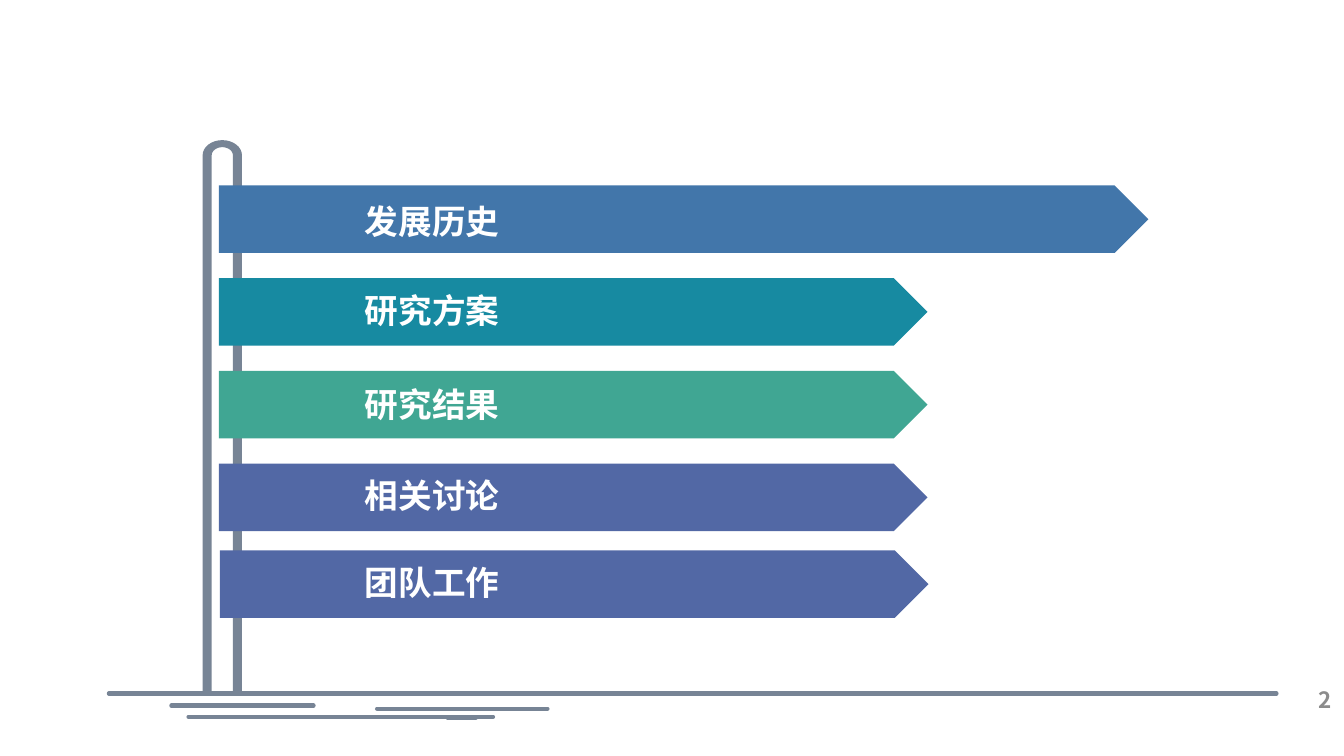
"""Build the signpost agenda slide."""
from math import cos, pi, sin

from lxml.etree import SubElement
from pptx import Presentation
from pptx.dml.color import RGBColor
from pptx.enum.shapes import MSO_CONNECTOR as Connector, MSO_SHAPE as Shape
from pptx.enum.text import MSO_ANCHOR as Anchor, PP_ALIGN as Align
from pptx.oxml.ns import qn
from pptx.util import Inches, Pt

FONT = "Noto Sans CJK SC"
SLATE = RGBColor(0x77, 0x84, 0x95)
BLUE = RGBColor(0x42, 0x76, 0xAA)
TEAL = RGBColor(0x17, 0x8A, 0xA1)
GREEN = RGBColor(0x40, 0xA6, 0x93)
INDIGO = RGBColor(0x52, 0x68, 0xA5)
WHITE = RGBColor(0xFF, 0xFF, 0xFF)
GREY = RGBColor(0x8C, 0x8C, 0x8C)


def add_label(page, text, left, top, width, height, size, color):
    box = page.shapes.add_textbox(Inches(left), Inches(top), Inches(width), Inches(height))
    box.text_frame.word_wrap = True
    para = box.text_frame.paragraphs[0]
    span = para.add_run()
    span.text = text
    span.font.name = FONT
    span.font.size = Pt(size)
    span.font.bold = True
    span.font.color.rgb = color
    SubElement(span.font._element, qn("a:ea")).set("typeface", FONT)
    return box


def arch_points(radius_x, radius_y, steps=16):
    angles = [pi * step / steps for step in range(steps + 1)]
    return [(Inches(2.205 + radius_x * cos(angle)), Inches(1.54 - radius_y * sin(angle)))
            for angle in angles]


deck = Presentation()
deck.slide_width = Inches(13.33)
deck.slide_height = Inches(7.5)
page = deck.slides.add_slide(deck.slide_layouts[6])

foot = Inches(6.88)
inner = arch_points(0.105, 0.08)
outer = arch_points(0.195, 0.15)[::-1]
outline = [(inner[0][0], foot), *inner, (inner[-1][0], foot),
           (outer[0][0], foot), *outer]
builder = page.shapes.build_freeform(outer[-1][0], foot)
builder.add_line_segments(outline, close=True)
post = builder.convert_to_shape()
post.shadow.inherit = False
post.fill.solid()
post.fill.fore_color.rgb = SLATE
post.line.fill.background()

ground_lines = [
    (1.36, 12.66, 6.88), (5.04, 5.38, 7.03), (1.08, 1.47, 6.88), (3.74, 5.43, 7.03),
    (2.14, 4.89, 7.11), (1.87, 2.21, 7.11), (1.7, 3.11, 7), (4.44, 4.72, 7.12),
]
for start, end, height in ground_lines:
    ground = page.shapes.add_connector(
        Connector.STRAIGHT, Inches(start), Inches(height), Inches(end), Inches(height))
    ground.line.color.rgb = SLATE
    ground.line.width = Pt(3)
    properties = ground._element.spPr
    properties.find(qn("a:ln")).set("cap", "rnd")
    SubElement(properties, qn("a:effectLst"))

signs = [
    ("发展历史", BLUE, 2.17, 1.84, 9.22, 1.94),
    ("研究方案", TEAL, 2.17, 2.76, 7.03, 2.83),
    ("研究结果", GREEN, 2.17, 3.68, 7.03, 3.76),
    ("相关讨论", INDIGO, 2.17, 4.6, 7.03, 4.66),
    ("团队工作", INDIGO, 2.18, 5.46, 7.03, 5.53),
]
for topic, color, left, top, width, label_top in signs:
    sign = page.shapes.add_shape(
        Shape.PENTAGON, Inches(left), Inches(top), Inches(width), Inches(0.67))
    sign.shadow.inherit = False
    sign.fill.solid()
    sign.fill.fore_color.rgb = color
    sign.line.fill.background()
    add_label(page, topic, 3.52, label_top, width - 1.35, 0.5, 24, WHITE)

number = add_label(page, "2", 10.2, 6.74, 3.11, 0.4, 16, GREY)
number.text_frame.vertical_anchor = Anchor.MIDDLE
number.text_frame.paragraphs[0].alignment = Align.RIGHT

deck.save("out.pptx")
